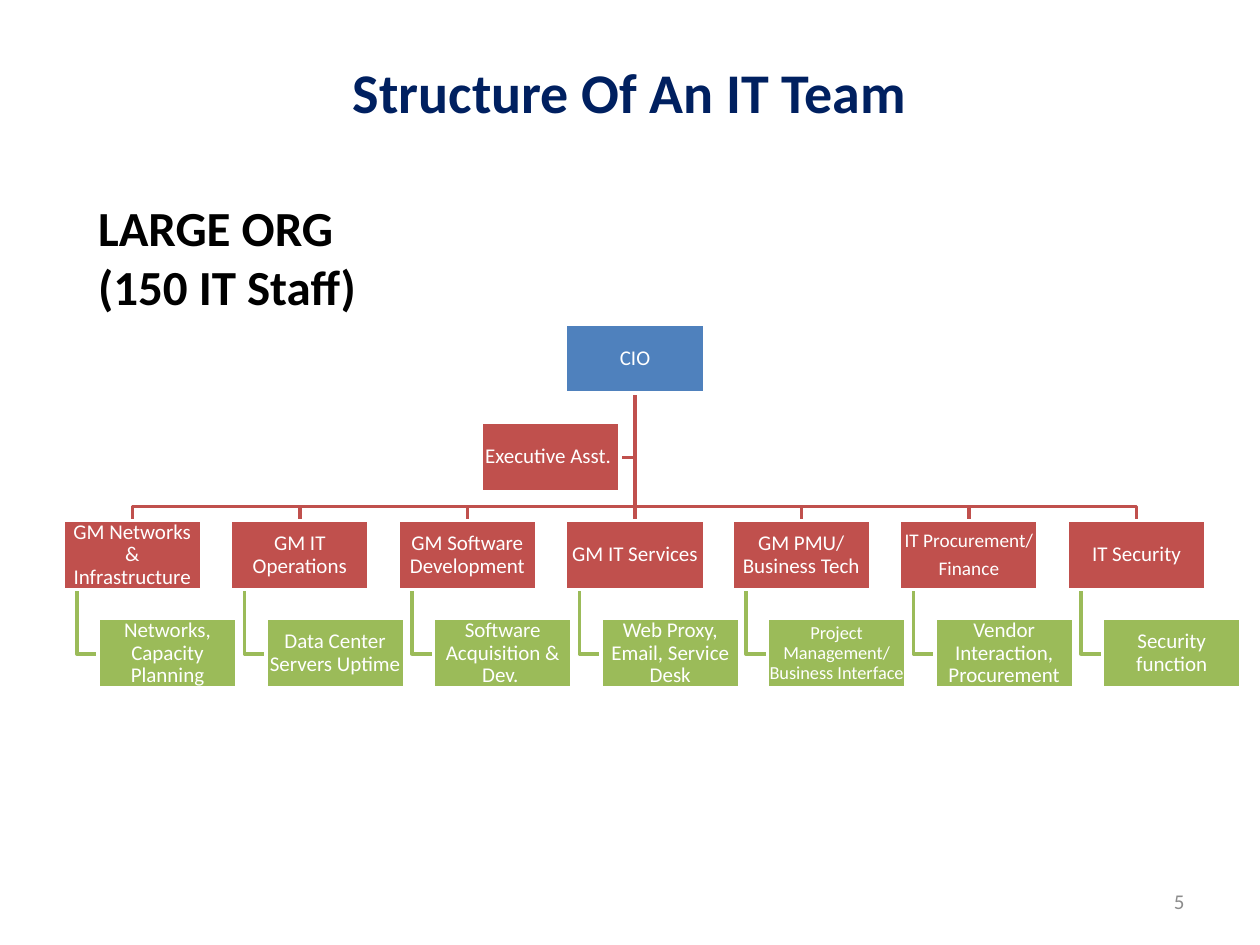
import dataclasses
import lxml.etree
import pptx
import pptx.dml.color
import pptx.enum.shapes
import pptx.enum.text
import pptx.oxml.ns
import pptx.util

PX = 9144
ALIGN = pptx.enum.text.PP_ALIGN
MIDDLE = pptx.enum.text.MSO_ANCHOR.MIDDLE


@dataclasses.dataclass(frozen=True)
class Theme:
    """Hold the font, colours and type sizes."""
    font: str = "Calibri"
    navy: str = "002060"
    black: str = "000000"
    grey: str = "8C8C8C"
    white: str = "FFFFFF"
    blue: str = "4F81BD"
    red: str = "C0504D"
    green: str = "9BBB59"
    title: float = 32
    label: float = 28
    node: float = 12
    small: float = 11
    tiny: float = 10.5
    rule: float = 2


THEME = Theme()
NODE_W, NODE_H = 110, 55
TEAMS = [
    (["GM Networks & Infrastructure"], THEME.node,
     "Networks, Capacity Planning", THEME.node),
    (["GM IT Operations"], THEME.node,
     "Data Center Servers Uptime", THEME.node),
    (["GM Software Development"], THEME.node,
     "Software Acquisition & Dev. ", THEME.node),
    (["GM IT Services"], THEME.node,
     "Web Proxy, Email, Service Desk", THEME.node),
    (["GM PMU/ Business Tech"], THEME.node,
     "Project Management/ Business Interface", THEME.tiny),
    (["IT Procurement/", "Finance"], THEME.small,
     "Vendor Interaction, Procurement", THEME.node),
    (["IT Security"], THEME.node, "Security function", THEME.node),
]


def paint(color):
    """Return an RGB colour."""
    return pptx.dml.color.RGBColor.from_string(color)


def scale(*sizes):
    """Turn px lengths into EMU."""
    return [pptx.util.Emu(size * PX) for size in sizes]


def write(frame, lines, size, color, align, bold=False):
    """Write one paragraph per line and return the paragraphs."""
    for i, line in enumerate(lines):
        para = frame.add_paragraph() if i else frame.paragraphs[0]
        para.alignment = align
        run = para.add_run()
        run.text = line
        run.font.name = THEME.font
        run.font.size = pptx.util.Pt(size)
        run.font.bold = bold
        run.font.color.rgb = paint(color)
    return frame.paragraphs


def stroke(line, color):
    """Set the colour and width of a line."""
    line.color.rgb = paint(color)
    line.width = pptx.util.Pt(THEME.rule)


def add_node(slide, x, y, lines, color, size=THEME.node):
    """Add one box of the chart."""
    node = slide.shapes.add_shape(
        pptx.enum.shapes.MSO_SHAPE.RECTANGLE, *scale(x, y, NODE_W, NODE_H))
    node.shadow.inherit = False
    node.fill.solid()
    node.fill.fore_color.rgb = paint(color)
    stroke(node.line, THEME.white)
    frame = node.text_frame
    frame.word_wrap = True
    frame.vertical_anchor = MIDDLE
    frame.margin_left = frame.margin_right = PX
    frame.margin_top = frame.margin_bottom = PX
    for para in write(frame, lines, size, THEME.white, ALIGN.CENTER):
        para.line_spacing = 0.9
        para.space_after = pptx.util.Pt(4)
    return node


def add_elbow(slide, points, color):
    """Add a bent link through the points."""
    pen = slide.shapes.build_freeform(*points[0], scale=PX)
    pen.add_line_segments(points[1:], close=False)
    link = pen.convert_to_shape()
    link.shadow.inherit = False
    link.fill.background()
    stroke(link.line, color)


def add_trunk(slide, x, top, end):
    """Add the straight link from the top box."""
    link = slide.shapes.add_connector(
        pptx.enum.shapes.MSO_CONNECTOR.STRAIGHT, *scale(x, top, x, end))
    stroke(link.line, THEME.red)
    lxml.etree.SubElement(link._element.spPr, pptx.oxml.ns.qn("a:effectLst"))
    return link


def add_chart(slide, x, y, w, h):
    """Add the whole organisation chart to its box."""
    indent, drop = 28, 78
    last = len(TEAMS) - 1
    step = (w - indent - NODE_W) / last
    cols = [x + int(step * i + 0.5) for i in range(last + 1)]
    mid = last // 2
    half = NODE_W // 2
    stem = cols[mid] + half
    top = y + NODE_H
    aide = y + drop
    lead = aide + drop
    leaf = y + h - NODE_H
    turn = leaf + NODE_H // 2 + 1
    bar = lead - 11
    side = stem - 12
    level = aide + NODE_H // 2 + 1

    trunk = add_trunk(slide, stem, top, lead)
    add_elbow(slide, [(stem, top), (stem, level), (side, level)], THEME.red)
    for i, col in enumerate(cols):
        if i != mid:
            add_elbow(slide, [(stem, top), (stem, bar), (col + half, bar),
                              (col + half, lead)], THEME.red)
        add_elbow(slide, [(col + 11, lead + NODE_H), (col + 11, turn),
                          (col + indent, turn)], THEME.green)

    chief = add_node(slide, cols[mid], y, ["CIO"], THEME.blue)
    add_node(slide, side - NODE_W, aide, ["Executive Asst. "], THEME.red)
    heads = []
    for col, (head, size, task, fit) in zip(cols, TEAMS):
        heads.append(add_node(slide, col, lead, head, THEME.red, size))
        add_node(slide, col + indent, leaf, [task], THEME.green, fit)
    trunk.begin_connect(chief, 2)
    trunk.end_connect(heads[mid], 0)


def add_title(slide, x, y, w, h):
    """Place and fill the title."""
    title = slide.shapes.title
    title.left, title.top, title.width, title.height = scale(x, y, w, h)
    title.text_frame.vertical_anchor = MIDDLE
    write(title.text_frame, ["Structure Of An IT Team"], THEME.title,
          THEME.navy, ALIGN.CENTER, True)


def add_label(slide, x, y, w, h):
    """Add the size of the organisation."""
    box = slide.shapes.add_textbox(*scale(x, y, w, h))
    box.text_frame.word_wrap = False
    write(box.text_frame, ["LARGE ORG", "(150 IT Staff)"], THEME.label,
          THEME.black, ALIGN.LEFT, True)


def add_number(slide, x, y, w, h):
    """Add the slide number."""
    box = slide.shapes.add_textbox(*scale(x, y, w, h))
    box.text_frame.word_wrap = True
    box.text_frame.vertical_anchor = MIDDLE
    write(box.text_frame, ["5"], THEME.node, THEME.grey, ALIGN.RIGHT)


def main():
    """Build and save the slide."""
    deck = pptx.Presentation()
    deck.slide_width, deck.slide_height = scale(1000, 750)
    slide = deck.slides.add_slide(deck.slide_layouts.get_by_name("Title Only"))
    add_title(slide, 50, 23, 900, 98)
    add_label(slide, 68, 152, 232, 104)
    add_chart(slide, 50, 257, 935, 289)
    add_number(slide, 717, 695, 233, 40)
    deck.save("out.pptx")


if __name__ == "__main__":
    main()
